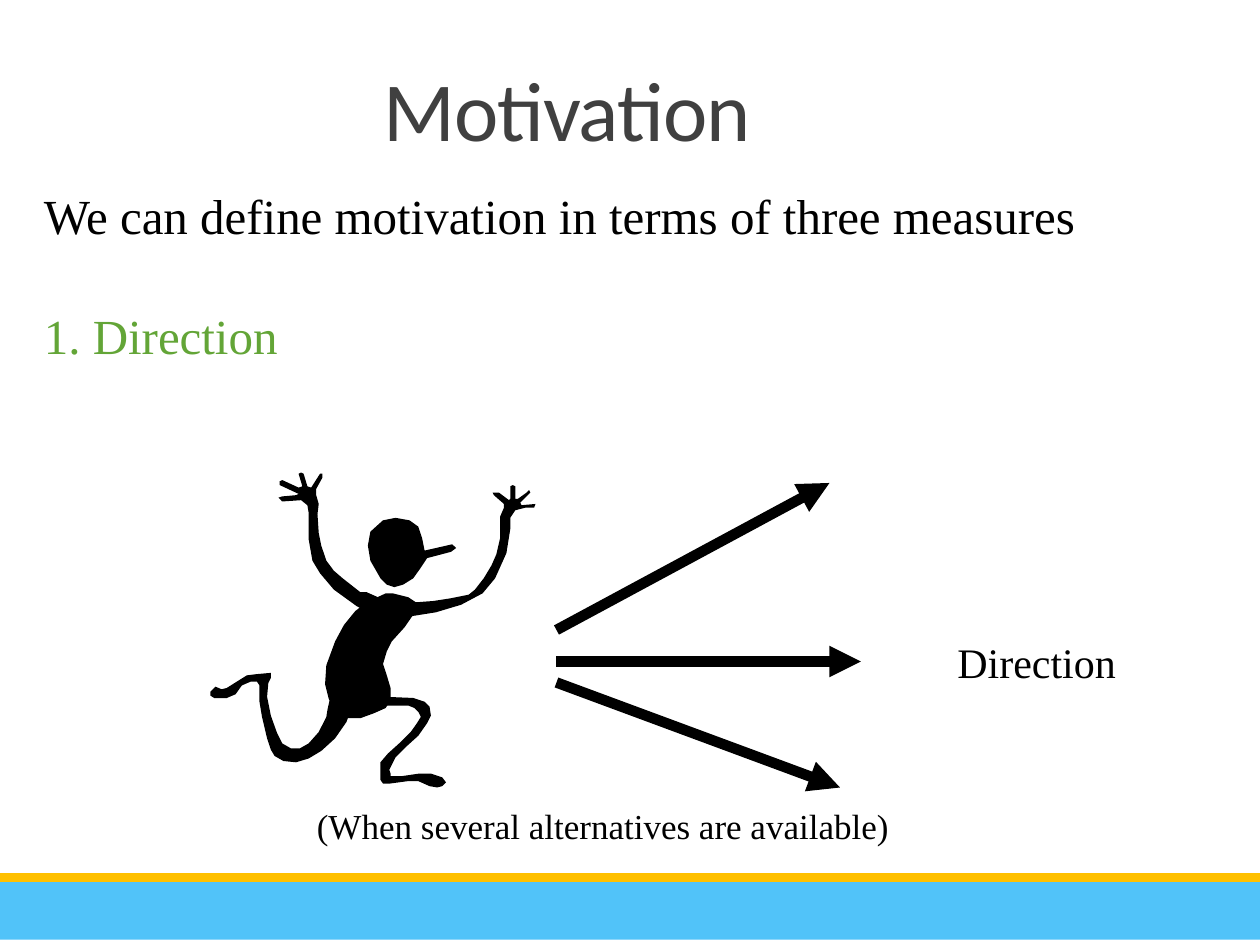
from dataclasses import dataclass
from typing import Any

import pptx
import pptx.dml.color
import pptx.enum.shapes
import pptx.enum.text
import pptx.oxml
import pptx.oxml.ns
import pptx.util

Pt = pptx.util.Pt
RGB = pptx.dml.color.RGBColor
ALIGN = pptx.enum.text.PP_ALIGN
ANCHOR = pptx.enum.text.MSO_ANCHOR
qn = pptx.oxml.ns.qn

BLACK = RGB(0x00, 0x00, 0x00)
GREY = RGB(0x40, 0x40, 0x40)
GREEN = RGB(0x63, 0xA5, 0x37)
BLUE = RGB(0x51, 0xC3, 0xF9)
GOLD = RGB(0xFF, 0xC0, 0x00)
SERIF = "Times New Roman"
UNIT = Pt(0.72)  # figure grid step


@dataclass
class Band:
    top: float
    height: float
    color: RGB


@dataclass
class Line:
    text: str
    size: float
    color: RGB = BLACK
    font: str = SERIF
    before: float = 0


@dataclass
class Box:
    left: float
    top: float
    width: float
    height: float
    lines: list[Line]


@dataclass
class Arrow:
    x1: float
    y1: float
    x2: float
    y2: float


BANDS = [Band(501, 36, BLUE), Band(499, 5, GOLD)]

TITLE = Box(0, 20, 648, 74, [Line("Motivation", 48, GREY, "Calibri")])
BOXES = [
    Box(18, 102.5, 610, 109, [
        Line("We can define motivation in terms of three measures", 28),
        Line("1. Direction", 28, GREEN, before=35),
    ]),
    Box(540, 360, 106, 37, [Line("Direction", 24)]),
    Box(174, 456, 343.5, 32, [Line("(When several alternatives are available)", 20)]),
]

ARROWS = [
    Arrow(318, 378, 492, 378),
    Arrow(318, 360, 474, 276),
    Arrow(318, 390, 480, 450),
]

# Outlines of the runner, as x, y pairs on the figure grid
HEAD = [
    (337, 437), (335, 427), (332, 418), (325, 413), (314, 411), (304, 413),
    (294, 422), (292, 433), (294, 445), (298, 452), (302, 459), (307, 464),
    (313, 466), (320, 464), (328, 459), (333, 452), (337, 446), (339, 443),
    (358, 438), (362, 435), (359, 432),
]
TRUNK = [
    (282, 485), (291, 478), (306, 471), (312, 471), (324, 474), (330, 478),
    (330, 485), (321, 498), (311, 509), (307, 517), (304, 527), (307, 536),
    (310, 546), (310, 556), (306, 562), (297, 566), (286, 570), (276, 570),
    (270, 567), (261, 555), (258, 543), (259, 528), (266, 509), (273, 496),
]
FRONT_LEG = [
    (263, 558), (271, 551), (282, 551), (303, 553), (328, 554), (337, 557),
    (341, 561), (342, 568), (339, 574), (332, 584), (322, 593), (314, 601),
    (311, 607), (309, 611), (310, 614), (310, 616), (319, 616), (333, 614),
    (342, 614), (351, 617), (354, 621), (351, 624), (347, 625), (341, 624),
    (332, 620), (324, 620), (309, 622), (304, 622), (302, 619), (302, 613),
    (302, 605), (308, 598), (318, 589), (326, 581), (331, 574), (334, 569),
    (332, 565), (329, 562), (324, 560), (318, 560), (305, 560), (286, 563),
    (271, 564), (266, 563), (263, 562),
]
BACK_LEG = [
    (260, 563), (262, 554), (269, 551), (277, 550), (281, 554), (279, 562),
    (275, 573), (266, 586), (255, 596), (245, 602), (235, 605), (225, 604),
    (218, 600), (215, 595), (212, 586), (208, 569), (206, 557), (206, 544),
    (204, 541), (199, 541), (192, 544), (187, 551), (180, 554), (170, 554),
    (167, 552), (167, 549), (171, 545), (176, 547), (180, 546), (188, 541),
    (196, 536), (204, 535), (215, 534), (215, 538), (213, 542), (212, 553),
    (215, 568), (220, 582), (224, 590), (231, 594), (238, 594), (245, 590),
    (253, 581), (259, 569),
]
LEFT_ARM = [
    (272, 459), (286, 470), (291, 470), (300, 474), (302, 479), (299, 485),
    (292, 486), (283, 481), (265, 468), (254, 455), (248, 445), (245, 428),
    (245, 407), (244, 401), (239, 397), (224, 398), (221, 395), (224, 394),
    (235, 393), (237, 392), (222, 385), (222, 382), (224, 381), (237, 387),
    (240, 386), (237, 376), (239, 375), (241, 376), (244, 386), (247, 387),
    (254, 376), (256, 376), (256, 379), (251, 388), (251, 393), (253, 400),
    (252, 408), (253, 423), (255, 433), (259, 445), (265, 453),
]
RIGHT_ARM = [
    (321, 477), (319, 482), (321, 489), (327, 489), (346, 486), (366, 480),
    (383, 471), (393, 459), (402, 439), (405, 420), (405, 411), (409, 405),
    (417, 403), (424, 403), (425, 400), (414, 401), (413, 399), (421, 391),
    (420, 389), (418, 391), (411, 396), (409, 396), (409, 386), (407, 385),
    (405, 386), (405, 396), (404, 397), (396, 391), (391, 391), (392, 393),
    (400, 400), (400, 403), (397, 410), (397, 416), (397, 427), (394, 440),
    (390, 449), (384, 459), (377, 468), (372, 472), (357, 475), (344, 477),
    (331, 478),
]
RUNNER = [HEAD, TRUNK, FRONT_LEG, BACK_LEG, LEFT_ARM, RIGHT_ARM]


def paint(shape: Any, color: RGB) -> None:
    shape.shadow.inherit = False
    shape.fill.solid()
    shape.fill.fore_color.rgb = color
    shape.line.fill.background()


def add_band(shapes: Any, band: Band) -> None:
    kind = pptx.enum.shapes.MSO_SHAPE.RECTANGLE
    paint(shapes.add_shape(kind, 0, Pt(band.top), Pt(720), Pt(band.height)), band.color)


def add_part(shapes: Any, dots: list[tuple[int, int]]) -> None:
    pen = shapes.build_freeform(*dots[0], scale=UNIT)
    pen.add_line_segments(dots[1:], close=True)
    paint(pen.convert_to_shape(), BLACK)


def add_arrow(shapes: Any, arrow: Arrow) -> None:
    kind = pptx.enum.shapes.MSO_CONNECTOR.STRAIGHT
    ends = (Pt(v) for v in (arrow.x1, arrow.y1, arrow.x2, arrow.y2))
    link = shapes.add_connector(kind, *ends)
    link.line.color.rgb = BLACK
    link.line.width = Pt(6)
    tip = pptx.oxml.parse_xml(
        '<a:tailEnd xmlns:a="http://schemas.openxmlformats.org/drawingml/2006/main" type="triangle"/>')
    link.line._get_or_add_ln().append(tip)
    link._element.spPr.append(pptx.oxml.xmlchemy.OxmlElement("a:effectLst"))


def add_box(shapes: Any, box: Box) -> Any:
    frame = shapes.add_textbox(
        Pt(box.left), Pt(box.top), Pt(box.width), Pt(box.height)).text_frame
    frame.word_wrap = False
    frame.text = "\n".join(line.text for line in box.lines)
    for para, line in zip(frame.paragraphs, box.lines):
        if line.before:
            para.space_before = Pt(line.before)
        font = para.runs[0].font
        font.name, font.size = line.font, Pt(line.size)
        font.color.rgb = line.color
    return frame


def add_title(shapes: Any, box: Box) -> None:
    frame = add_box(shapes, box)
    frame.word_wrap = True
    frame.vertical_anchor = ANCHOR.BOTTOM
    para = frame.paragraphs[0]
    para.alignment = ALIGN.CENTER
    para.line_spacing = 0.85
    para.runs[0].font._element.set("spc", "-50")


def main() -> None:
    deck = pptx.Presentation()
    deck.slide_width, deck.slide_height = Pt(720), Pt(540)
    shapes = deck.slides.add_slide(deck.slide_layouts[6]).shapes
    for band in BANDS:
        add_band(shapes, band)
    for part in RUNNER:
        add_part(shapes, part)
    for arrow in ARROWS:
        add_arrow(shapes, arrow)
    for box in BOXES:
        add_box(shapes, box)
    add_title(shapes, TITLE)
    deck.save("out.pptx")


if __name__ == "__main__":
    main()
